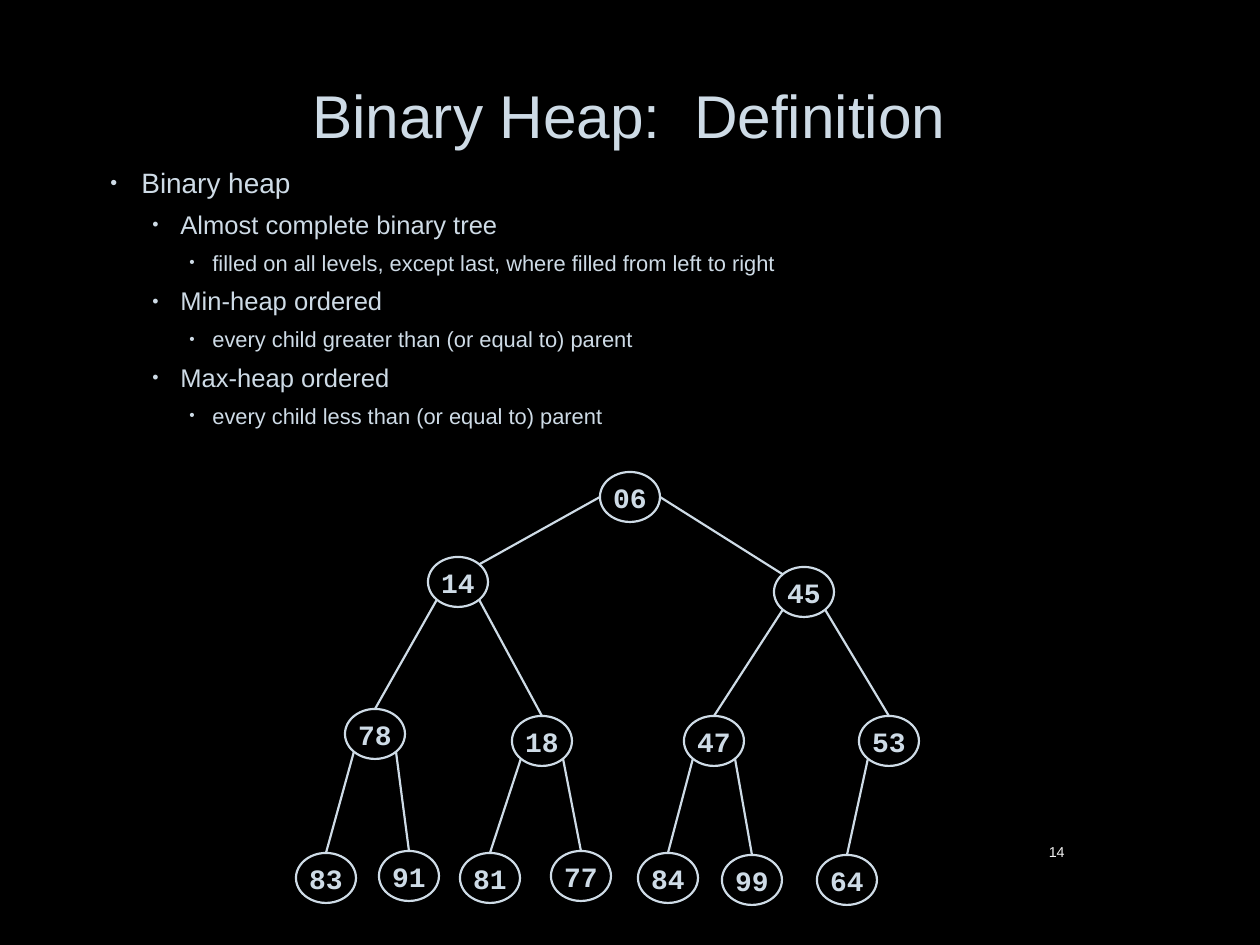
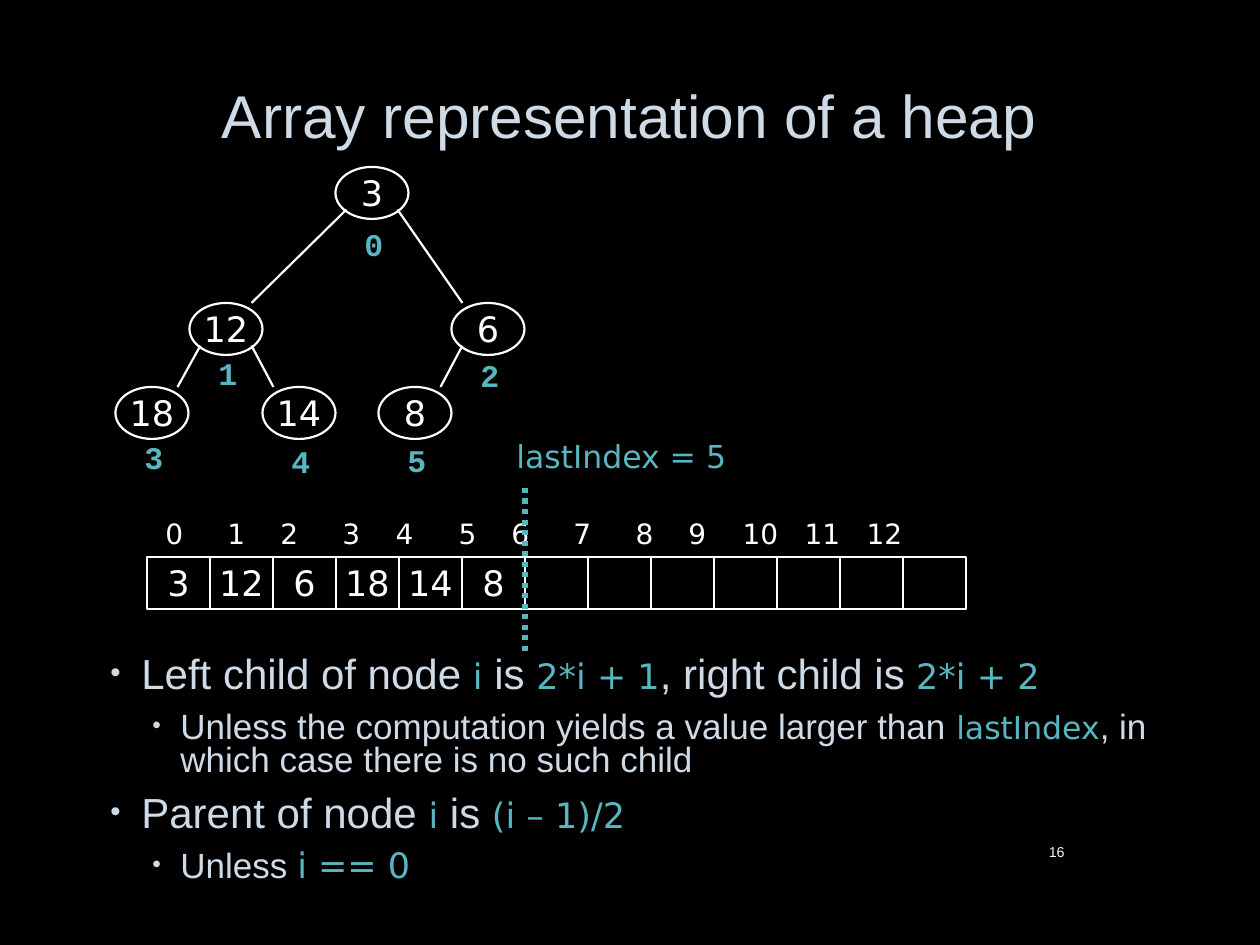
from lxml import etree
from pptx import Presentation
from pptx.dml.color import RGBColor
from pptx.enum import dml, shapes, text
from pptx.oxml.ns import qn
from pptx.util import Emu, Pt

PX = 914400 // 126
BLACK = RGBColor(0x00, 0x00, 0x00)
WHITE = RGBColor(0xFF, 0xFF, 0xFF)
PALE = RGBColor(0xCE, 0xDB, 0xE6)
TEAL = RGBColor(0x58, 0xB6, 0xC0)
GREY = RGBColor(0xF2, 0xF2, 0xF2)
SANS, MONO, CODE = "Arial", "Courier New", "DejaVu Sans"
TITLE_BOX = (94, 32, 1070, 174)
NUMBER_BOX = (794, 827, 283, 50)
INDENTS = [(35, 31), (74, 28), (106, 23)]  # text start and bullet hang per level
LEFT, CENTER, RIGHT = text.PP_ALIGN.LEFT, text.PP_ALIGN.CENTER, text.PP_ALIGN.RIGHT
TOP, MIDDLE = text.MSO_ANCHOR.TOP, text.MSO_ANCHOR.MIDDLE


def px(*lengths):
    return [Emu(round(length * PX)) for length in lengths]


def add(parent, tag, **attributes):
    return etree.SubElement(parent, qn(tag), attributes)


def style(run, font, size, color, bold=False):
    run.font.name, run.font.size, run.font.bold = font, Pt(size), bold
    run.font.color.rgb = color


def space_before(paragraph, percent):
    paragraph.space_before = Pt(0)
    spacing = paragraph._p.pPr.find(qn("a:spcBef"))
    spacing.clear()
    add(spacing, "a:spcPct", val=str(percent * 1000))


def label(slide, box, words, font, size, color, bold=False, align=LEFT, anchor=TOP, before=50):
    frame = slide.shapes.add_textbox(*px(*box)).text_frame
    frame.word_wrap = True
    frame.vertical_anchor = anchor
    frame.text = words
    paragraph = frame.paragraphs[0]
    paragraph.alignment = align
    space_before(paragraph, before)
    style(paragraph.runs[0], font, size, color, bold)
    return paragraph


def outline(slide, kind, box, words, font, size, color, bold=False):
    """Unfilled shape with centred text."""
    shape = slide.shapes.add_shape(kind, *px(*box))
    shape.shadow.inherit = False
    shape.fill.background()
    shape.line.color.rgb, shape.line.width = color, Pt(1.25)
    if words:
        frame = shape.text_frame
        frame.word_wrap = False
        frame.vertical_anchor = MIDDLE
        frame.text = words
        frame.paragraphs[0].alignment = CENTER
        style(frame.paragraphs[0].runs[0], font, size, color, bold)
    return shape


def line(slide, start, end, color, width=1.25):
    connector = slide.shapes.add_connector(
        shapes.MSO_CONNECTOR.STRAIGHT, *px(*start, *end))
    connector.line.color.rgb, connector.line.width = color, Pt(width)
    add(connector._element.spPr, "a:effectLst")
    return connector


def titled_slide(prs, heading, number):
    slide = prs.slides.add_slide(prs.slide_layouts[5])
    title = slide.shapes.title
    title.left, title.top, title.width, title.height = px(*TITLE_BOX)
    title.text_frame.text = heading
    title.text_frame.vertical_anchor = MIDDLE
    paragraph = title.text_frame.paragraphs[0]
    paragraph.alignment, paragraph.line_spacing = CENTER, 0.9
    style(paragraph.runs[0], SANS, 34.5, PALE)
    label(slide, NUMBER_BOX, number, SANS, 8.2, GREY, align=RIGHT, anchor=MIDDLE, before=0)
    return slide


def bullets(slide, box, items, line_spacing):
    """Items are (level, text size, code size, words); backticks enclose code."""
    frame = slide.shapes.add_textbox(*px(*box)).text_frame
    frame.word_wrap = True
    for number, (level, size, code_size, words) in enumerate(items):
        paragraph = frame.add_paragraph() if number else frame.paragraphs[0]
        paragraph.level = level
        paragraph.line_spacing = line_spacing
        paragraph.space_after = Pt(4.5)
        space_before(paragraph, 20)
        start, hang = px(*INDENTS[level])
        props = paragraph._p.pPr
        props.set("marL", str(start))
        props.set("indent", str(-hang))
        add(add(props, "a:buClr"), "a:srgbClr", val=str(PALE))
        add(props, "a:buSzPct", val="70000")
        add(props, "a:buFont", typeface=SANS)
        add(props, "a:buChar", char="•")
        for part, piece in enumerate(words.split("`")):
            if piece:
                run = paragraph.add_run()
                run.text = piece
                if part % 2:
                    style(run, CODE, code_size, TEAL)
                else:
                    style(run, SANS, size, PALE)


def heap_tree(slide, box, size, nodes, look, edge_ends, root_ends=None):
    """Nodes are (value, centre x, centre y) in level order.

    Edge ends are offsets from the node centres, as shares of the node size.
    """
    left, top = box[:2]
    width, height = size
    centres = [(left + x, top + y) for _, x, y in nodes]
    ovals = [
        outline(slide, shapes.MSO_SHAPE.OVAL,
                (x - width / 2, y - height / 2, width, height), value, *look)
        for (value, _, _), (x, y) in zip(nodes, centres)
    ]
    for child in range(1, len(nodes)):
        parent = (child - 1) // 2
        side = -1 if child % 2 else 1
        ends = edge_ends if parent or not root_ends else root_ends
        (from_x, from_y), (to_x, to_y) = ends
        (parent_x, parent_y), (child_x, child_y) = centres[parent], centres[child]
        edge = line(
            slide,
            (parent_x + side * from_x * width, parent_y + from_y * height),
            (child_x - side * to_x * width, child_y + to_y * height),
            look[2])
        if (to_x, to_y) == (0, -0.5):
            edge.end_connect(ovals[child], 0)


def node_indices(slide, box, nodes, tops):
    for index, ((_, x, _), top) in enumerate(zip(nodes, tops)):
        label(slide, (box[0] + x - 20, box[1] + top, 42, 50),
              str(index), MONO, 18, TEAL, bold=True, align=CENTER)


def heap_array(slide, box, values, index_centres, last_index):
    left, top, width, height = box
    cell = width / len(index_centres)
    for column in range(len(index_centres)):
        value = values[column] if column < len(values) else ""
        outline(slide, shapes.MSO_SHAPE.RECTANGLE,
                (left + column * cell, top, cell, height), value, CODE, 20, WHITE)

    # Index row, one centred tab stop per index
    indices = "".join(f"\t{index}" for index in range(len(index_centres)))
    row = label(slide, (left - 11, top - 47, 872, 47), indices, CODE, 16, WHITE)
    stops = add(row._p.pPr, "a:tabLst")
    for centre in index_centres:
        add(stops, "a:tab", pos=str(px(centre - 2)[0]), algn="ctr")

    # Marker after the last used cell
    marker_x = left + (last_index + 1) * cell
    marker = line(slide, (marker_x, top + 94), (marker_x, top - 74), TEAL, 3)
    marker.line.dash_style = dml.MSO_LINE.ROUND_DOT
    label(slide, (marker_x - 21, top - 126, 262, 50),
          f"lastIndex = {last_index}", CODE, 18, TEAL)


def definition_slide(prs):
    slide = titled_slide(prs, "Binary Heap:  Definition", "14")
    bullets(slide, (94, 163, 1070, 294), [
        (0, 16, 0, "Binary heap"),
        (1, 14.6, 0, "Almost complete binary tree"),
        (2, 12.5, 0, "filled on all levels, except last, where filled from left to right"),
        (1, 14.6, 0, "Min-heap ordered"),
        (2, 12.5, 0, "every child greater than (or equal to) parent"),
        (1, 14.6, 0, "Max-heap ordered"),
        (2, 12.5, 0, "every child less than (or equal to) parent"),
    ], 0.9)
    nodes = [
        ("06", 334, 25),
        ("14", 162, 110), ("45", 508, 120),
        ("78", 79, 262), ("18", 246, 269), ("47", 418, 269), ("53", 593, 269),
        ("83", 30, 406), ("91", 113, 404), ("81", 194, 406), ("77", 285, 404),
        ("84", 372, 406), ("99", 456, 408), ("64", 551, 408),
    ]
    heap_tree(slide, (296, 472, 623, 433), (60, 50), nodes, (MONO, 16, PALE, True),
              edge_ends=((0.35, 0.35), (0, -0.5)),
              root_ends=((0.5, 0), (0.35, -0.35)))


def array_slide(prs):
    slide = titled_slide(prs, "Array representation of a heap", "16")
    bullets(slide, (94, 651, 1071, 262), [
        (0, 24, 20, "Left child of node `i` is `2*i + 1`, right child is` 2*i + 2`"),
        (1, 20, 18, "Unless the computation yields a value larger than `lastIndex`, "
                    "in which case there is no such child"),
        (0, 24, 20, "Parent of node `i` is `(i – 1)/2`"),
        (1, 20, 20, "Unless `i == 0`"),
    ], 0.8)
    nodes = [
        ("3", 256, 27),
        ("12", 110, 163), ("6", 372, 163),
        ("18", 36, 247), ("14", 183, 247), ("8", 299, 247),
    ]
    tree_box = (116, 166, 410, 273)
    heap_tree(slide, tree_box, (73, 52), nodes, (CODE, 20, WHITE),
              edge_ends=((0.35, 0.32), (0.35, -0.5)))
    node_indices(slide, tree_box, nodes, [53, 182, 184, 266, 270, 269])
    heap_array(slide, (147, 557, 819, 52), [value for value, _, _ in nodes],
               [28, 90, 143, 205, 258, 321, 374, 436, 498, 551, 614, 676, 738],
               len(nodes) - 1)


def main():
    prs = Presentation()
    prs.slide_width, prs.slide_height = px(1260, 945)
    background = prs.slide_master.background.fill
    background.solid()
    background.fore_color.rgb = BLACK
    definition_slide(prs)
    array_slide(prs)
    prs.save("out.pptx")


if __name__ == "__main__":
    main()
